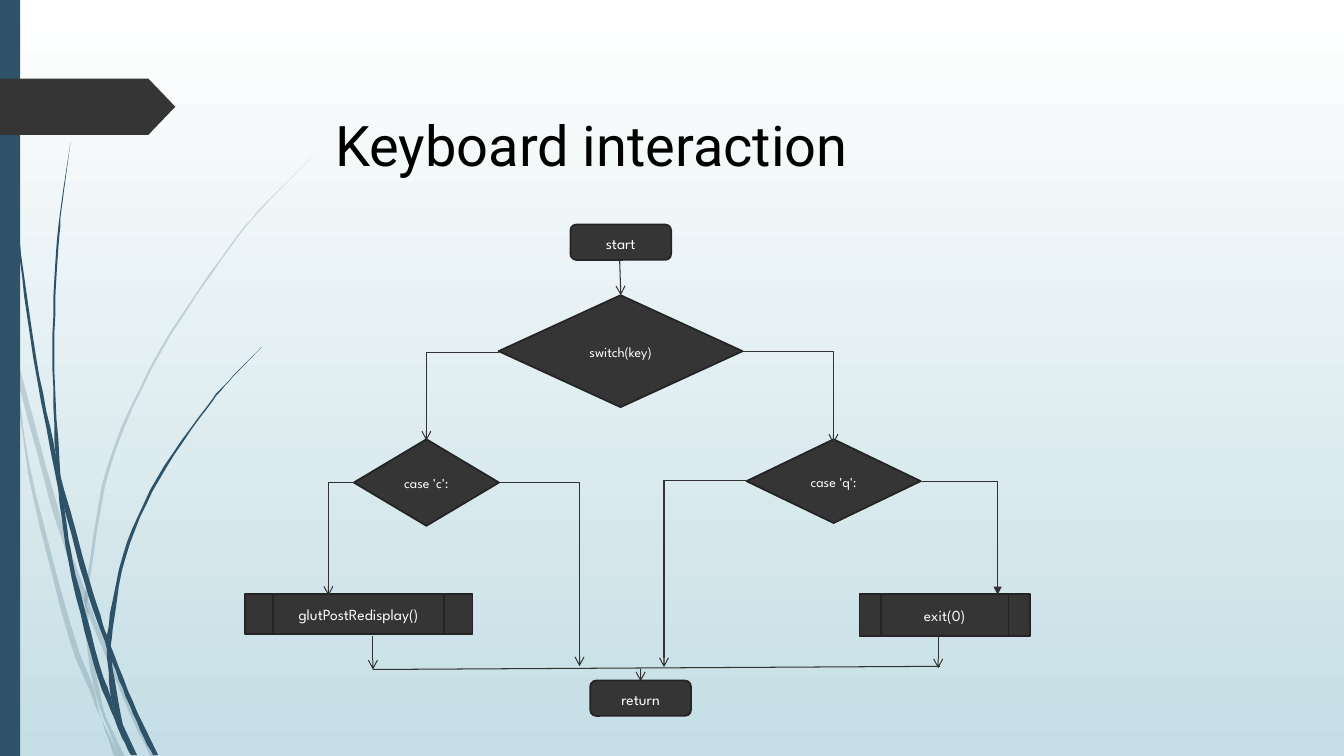
from lxml import etree
from pptx import Presentation
from pptx import util as u
from pptx.dml import color
from pptx.enum import shapes, text
from pptx.oxml import ns

WHITE = color.RGBColor(0xFF, 0xFF, 0xFF)
BLACK = color.RGBColor(0x00, 0x00, 0x00)
SKY = color.RGBColor(0xC5, 0xDE, 0xE5)
BLUE = color.RGBColor(0x2E, 0x53, 0x69)
DARK = color.RGBColor(0x35, 0x35, 0x35)
EDGE = color.RGBColor(0x24, 0x24, 0x24)
WIRE = color.RGBColor(0x32, 0x32, 0x32)

MSO = shapes.MSO_SHAPE
TERMINAL = MSO.FLOWCHART_ALTERNATE_PROCESS
DECISION = MSO.FLOWCHART_DECISION
PROCESS = MSO.FLOWCHART_PREDEFINED_PROCESS

BLADE_UNIT = u.Cm(0.0254)
PALE_BLADES = [
    [(0, 282), (8, 322), (14, 345), (62, 520), (85, 586), (92, 607), (127, 692), (155, 751),
     (150, 751), (123, 694), (88, 610), (57, 522), (17, 376), (10, 344), (0, 299)],
    [(11, 350), (17, 376), (31, 469), (70, 619), (93, 683), (101, 714), (119, 751),
     (114, 751), (101, 714), (92, 693), (65, 621), (28, 470)],
    [(312, 153), (268, 197), (228, 244), (158, 348), (107, 461), (85, 584), (84, 599),
     (87, 646), (96, 692), (119, 751), (124, 751), (105, 711), (91, 646), (88, 610),
     (88, 584), (110, 462), (160, 349), (229, 245), (268, 198)],
]
BLUE_BLADES = [
    [(3, 0), (5, 48), (8, 109), (19, 232), (36, 355), (55, 449), (60, 472), (93, 590),
     (110, 641), (136, 706), (157, 749), (152, 749), (132, 708), (111, 656), (88, 592),
     (64, 505), (57, 481), (33, 355), (17, 233), (7, 110), (3, 48)],
    [(70, 141), (62, 193), (56, 245), (52, 349), (55, 449), (57, 477), (68, 557), (93, 659),
     (117, 722), (131, 749), (117, 722), (110, 691), (98, 657), (72, 556), (64, 505),
     (60, 472), (54, 349), (58, 245), (63, 193)],
    [(260, 344), (231, 373), (204, 405), (156, 474), (122, 551), (106, 631), (106, 645),
     (110, 691), (117, 722), (130, 749), (136, 749), (122, 719), (111, 656), (111, 633),
     (125, 552), (158, 476), (205, 406), (231, 374)],
]

NODES = [
    (TERMINAL, "start", 11, 14.38, 5.66, 2.54, 0.89),
    (PROCESS, "glutPostRedisplay()", 11, 6.17, 14.96, 5.74, 1.02),
    (DECISION, "case 'c':", 10, 8.92, 11.07, 3.66, 2.18),
    (DECISION, "case 'q':", 10, 18.82, 11.07, 4.39, 2.11),
    (DECISION, "switch(key)", 10, 12.57, 7.44, 6.15, 2.82),
    (PROCESS, "exit(0)", 11, 21.67, 14.96, 4.29, 1.07),
    (TERMINAL, "return", 11, 14.88, 17.15, 2.54, 0.89),
]
STRAIGHT = [
    (15.62, 6.55, 15.65, 7.44, "arrow"),
    (9.4, 16.87, 23.7, 16.79, None),
    (9.4, 16.03, 9.4, 16.87, "arrow"),
    (23.65, 16.03, 23.65, 16.84, "arrow"),
    (16.15, 16.87, 16.15, 17.17, "arrow"),
]
BENT = [
    (12.57, 8.88, 10.75, 11.1, "arrow"),
    (18.72, 8.86, 21.01, 11.18, "arrow"),
    (8.94, 12.17, 8.28, 15.01, "arrow"),
    (18.82, 12.12, 16.74, 16.81, "arrow"),
    (12.57, 12.17, 14.61, 16.79, "arrow"),
    (23.22, 12.14, 25.15, 14.99, "triangle"),
]


def smooth(points, steps=6):
    """Return a closed outline with the blade's sides rounded between its points."""
    n = len(points)
    outline = []
    for i in range(n):
        a, b, c, d = (points[(i + k) % n] for k in (-1, 0, 1, 2))
        if turns(a, b, c) or turns(b, c, d):
            outline.append(b)
            continue
        for t in (s / steps for s in range(steps)):
            outline.append(tuple(
                q + t * (r - p) / 2 + t * t * (2 * p - 5 * q + 4 * r - s) / 2
                + t ** 3 * (3 * q - p - 3 * r + s) / 2
                for p, q, r, s in zip(a, b, c, d)))
    return outline


def turns(a, b, c):
    """Tell whether the outline makes a sharp corner at b."""
    return (b[0] - a[0]) * (c[0] - b[0]) + (b[1] - a[1]) * (c[1] - b[1]) <= 0


def paint(sp, fill, line=None):
    """Give a shape a plain fill and an optional outline."""
    sp.shadow.inherit = False
    sp.fill.solid()
    sp.fill.fore_color.rgb = fill
    if line is None:
        sp.line.fill.background()
    else:
        sp.line.color.rgb = line
        sp.line.width = u.Pt(1.25)


def add_blade(slide, points, opacity=None):
    """Draw one blade of grass."""
    start, *rest = smooth(points)
    builder = slide.shapes.build_freeform(*start, scale=BLADE_UNIT)
    builder.add_line_segments(rest, close=True)
    sp = builder.convert_to_shape()
    paint(sp, BLUE)
    if opacity:
        rgb = sp.fill._xPr.find(".//" + ns.qn("a:srgbClr"))
        etree.SubElement(rgb, ns.qn("a:alpha"), val=str(opacity * 1000))


def add_box(slide, kind, left, top, width, height, fill, line=None):
    """Draw a filled preset shape."""
    sp = slide.shapes.add_shape(kind, u.Cm(left), u.Cm(top), u.Cm(width), u.Cm(height))
    paint(sp, fill, line)
    return sp


def write(sp, words, size, font, rgb):
    """Write one centred paragraph."""
    tf = sp.text_frame
    tf.word_wrap = True
    p = tf.paragraphs[0]
    p.text = words
    p.alignment = text.PP_ALIGN.CENTER
    p.font.size = u.Pt(size)
    p.font.name = font
    p.font.color.rgb = rgb
    return p


def add_node(slide, kind, words, size, *place):
    """Draw a labelled step of the flow chart."""
    sp = add_box(slide, kind, *place, DARK, EDGE)
    sp.text_frame.vertical_anchor = text.MSO_ANCHOR.MIDDLE
    write(sp, words, size, "League Spartan", WHITE).line_spacing = 1.07


def add_link(slide, x1, y1, x2, y2, head, bent=False):
    """Join two points, straight or with one corner."""
    kind = shapes.MSO_CONNECTOR.ELBOW if bent else shapes.MSO_CONNECTOR.STRAIGHT
    link = slide.shapes.add_connector(kind, u.Cm(x1), u.Cm(y1), u.Cm(x2), u.Cm(y2))
    link.line.color.rgb = WIRE
    link.line.width = u.Pt(0.75)
    props = link._element.spPr
    if bent:
        props.find(ns.qn("a:prstGeom")).set("prst", "bentConnector2")
    if head:
        etree.SubElement(props.find(ns.qn("a:ln")), ns.qn("a:tailEnd"), type=head)
    etree.SubElement(props, ns.qn("a:effectLst"))


def add_backdrop(slide):
    """Draw the gradient, the grass, the side bar and the tag."""
    fill = slide.background.fill
    fill.gradient()
    fill.gradient_angle = 270
    for stop, rgb in zip(fill.gradient_stops, (WHITE, SKY)):
        stop.color.rgb = rgb
    for blade in PALE_BLADES:
        add_blade(slide, blade, 20)
    for blade in BLUE_BLADES:
        add_blade(slide, blade)
    add_box(slide, MSO.RECTANGLE, 0, 0, 0.51, 19.05, BLUE)
    add_box(slide, MSO.PENTAGON, 0, 1.98, 4.42, 1.42, DARK).adjustments[0] = 0.48


def main():
    """Build the slide and save it."""
    prs = Presentation()
    prs.slide_width, prs.slide_height = u.Cm(33.88), u.Cm(19.05)
    slide = prs.slides.add_slide(prs.slide_layouts[6])
    add_backdrop(slide)
    for node in NODES:
        add_node(slide, *node)
    for link in STRAIGHT:
        add_link(slide, *link)
    for link in BENT:
        add_link(slide, *link, bent=True)
    title = slide.shapes.add_textbox(u.Cm(6.45), u.Cm(2.67), u.Cm(16.92), u.Cm(1.96))
    write(title, "Keyboard interaction", 40, "Roboto", BLACK)
    prs.save("out.pptx")


if __name__ == "__main__":
    main()
